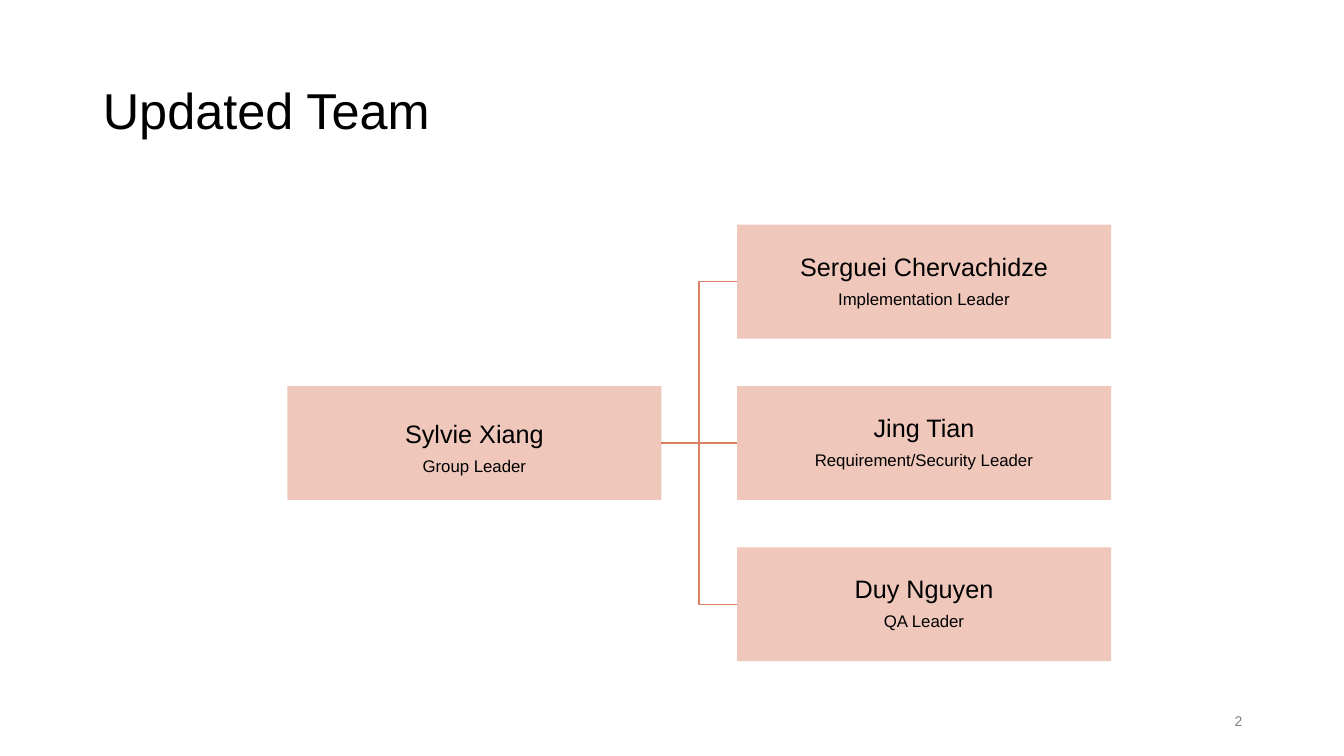
from lxml import etree
from pptx import Presentation
from pptx.dml.color import RGBColor
from pptx.enum.shapes import MSO_CONNECTOR, MSO_SHAPE
from pptx.enum.text import MSO_ANCHOR, PP_ALIGN
from pptx.oxml.ns import qn
from pptx.util import Inches, Pt

RECT = MSO_SHAPE.RECTANGLE
ELBOW, STRAIGHT = MSO_CONNECTOR.ELBOW, MSO_CONNECTOR.STRAIGHT
MIDDLE = MSO_ANCHOR.MIDDLE
LEFT, CENTER, RIGHT = PP_ALIGN.LEFT, PP_ALIGN.CENTER, PP_ALIGN.RIGHT

COLORS = {"text": "000000", "number": "7F7F7F", "box": "EFC7BB", "line": "DC8064"}
WIDTH, HEIGHT = 3.71, 1.13
TOP, STEP = 2.23, 1.6
HEAD_X, TEAM_X = 2.85, 7.31


def style(para, size, color, align):
    para.alignment = align
    for run in para.runs:
        run.font.name = "Arial"
        run.font.size = Pt(size)
        run.font.color.rgb = RGBColor.from_string(COLORS[color])


def add_box(name, role, left, top, inset):
    box = slide.shapes.add_shape(
        RECT, Inches(left), Inches(top), Inches(WIDTH), Inches(HEIGHT))
    box.shadow.inherit = False
    box.fill.solid()
    box.fill.fore_color.rgb = RGBColor.from_string(COLORS["box"])
    box.line.fill.background()
    frame = box.text_frame
    frame.word_wrap = True
    frame.vertical_anchor = MIDDLE
    frame.margin_left = frame.margin_right = frame.margin_bottom = Inches(0.01)
    frame.margin_top = Inches(inset)
    frame.text = f"{name}\n{role}"
    for para, size in zip(frame.paragraphs, (18, 12)):
        style(para, size, "text", CENTER)
        para.line_spacing = 0.9
    frame.paragraphs[1].space_before = Pt(6.3)
    return box


prs = Presentation()
prs.slide_width, prs.slide_height = Inches(13.33), Inches(7.5)
slide = prs.slides.add_slide(prs.slide_layouts[5])

title = slide.shapes.title
title.left, title.top = Inches(0.92), Inches(0.77)
title.width, title.height = Inches(11.5), Inches(0.7)
title.text_frame.text = "Updated Team"
title.text_frame.vertical_anchor = MIDDLE
title.text_frame.paragraphs[0].line_spacing = 0.9
style(title.text_frame.paragraphs[0], 36, "text", LEFT)

number = slide.shapes.add_textbox(Inches(9.42), Inches(6.95), Inches(3), Inches(0.4))
number.text_frame.word_wrap = True
number.text_frame.vertical_anchor = MIDDLE
number.text_frame.text = "2"
style(number.text_frame.paragraphs[0], 10, "number", RIGHT)

head = add_box("Sylvie Xiang", "Group Leader", HEAD_X, TOP + STEP, 0.13)
team = [
    ("Serguei Chervachidze", "Implementation Leader", ELBOW),
    ("Jing Tian", "Requirement/Security Leader", STRAIGHT),
    ("Duy Nguyen", "QA Leader", ELBOW),
]
for row, (name, role, kind) in enumerate(team):
    box = add_box(name, role, TEAM_X, TOP + row * STEP, 0.01)
    link = slide.shapes.add_connector(kind, 0, 0, 0, 0)
    link.begin_connect(head, 3)
    link.end_connect(box, 1)
    link.line.color.rgb = RGBColor.from_string(COLORS["line"])
    link.line.width = Pt(1)
    etree.SubElement(link.element.spPr, qn("a:effectLst"))

prs.save("out.pptx")
